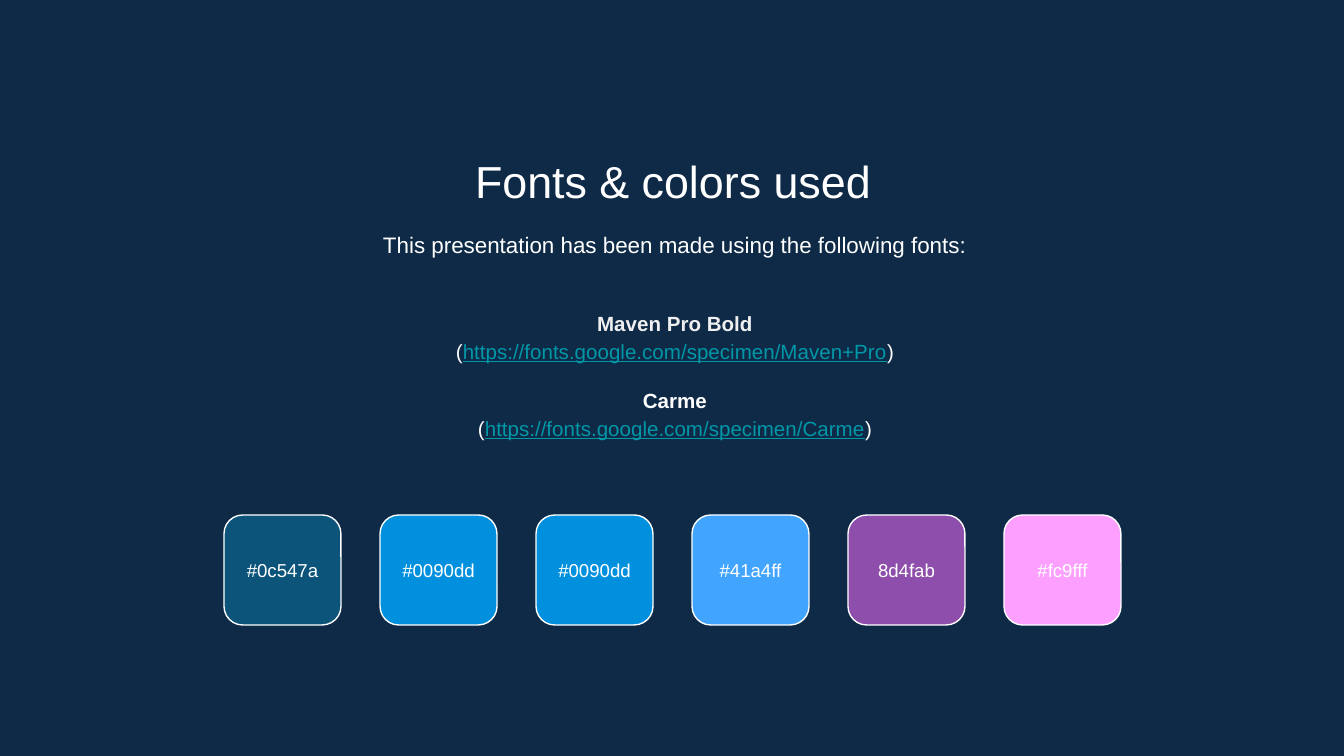
import pptx
import pptx.dml.color
import pptx.enum.shapes
import pptx.enum.text
import pptx.oxml.ns
import pptx.util
import lxml.etree

RGBColor = pptx.dml.color.RGBColor
ANCHOR = pptx.enum.text.MSO_ANCHOR

NAVY = RGBColor(0x0E, 0x2A, 0x47)
WHITE = RGBColor(0xFF, 0xFF, 0xFF)
PALE = RGBColor(0xEF, 0xEF, 0xEF)
LINK = RGBColor(0x00, 0x97, 0xA7)
TEAL = RGBColor(0x0C, 0x54, 0x7A)
BLUE = RGBColor(0x00, 0x90, 0xDD)
SKY = RGBColor(0x41, 0xA4, 0xFF)
PURPLE = RGBColor(0x8D, 0x4F, 0xAB)
PINK = RGBColor(0xFC, 0x9F, 0xFF)

SLIDE_WIDTH, SLIDE_HEIGHT = 1344, 756
SCALE = 9144000 / SLIDE_WIDTH

FONTS = [
    ("Maven Pro Bold", PALE, "https://fonts.google.com/specimen/Maven+Pro"),
    ("Carme", WHITE, "https://fonts.google.com/specimen/Carme"),
]
SWATCHES = [
    ("#0c547a", TEAL),
    ("#0090dd", BLUE),
    ("#0090dd", BLUE),
    ("#41a4ff", SKY),
    ("8d4fab", PURPLE),
    ("#fc9fff", PINK),
]


def emu(px):
    """Turn px into EMU."""
    return pptx.util.Emu(round(px * SCALE))


def place(shape, box):
    """Move a shape to a box given as left, top, width, height."""
    shape.left, shape.top, shape.width, shape.height = map(emu, box)


def prepare_frame(shape, anchor):
    """Set wrapping, insets and anchor of a shape's text frame."""
    frame = shape.text_frame
    frame.word_wrap = True
    frame.auto_size = pptx.enum.text.MSO_AUTO_SIZE.NONE
    frame.vertical_anchor = anchor
    frame.margin_left = frame.margin_right = pptx.util.Inches(0.1)
    frame.margin_top = frame.margin_bottom = pptx.util.Inches(0.1)
    return frame


def add_para(frame, line_spacing=1.0, space_before=0):
    """Return a centred, unbulleted paragraph, reusing an empty first one."""
    para = frame.paragraphs[0]
    if para.runs:
        para = frame.add_paragraph()
    para.alignment = pptx.enum.text.PP_ALIGN.CENTER
    para.line_spacing = line_spacing
    para.space_before = pptx.util.Pt(space_before)
    para.space_after = pptx.util.Pt(0)
    properties = para._p.get_or_add_pPr()
    properties.set("marL", "0")
    properties.set("indent", "0")
    lxml.etree.SubElement(properties, pptx.oxml.ns.qn("a:buNone"))
    return para


def add_span(para, text, size, color=WHITE, bold=False, underline=False):
    """Add one formatted run to a paragraph."""
    span = para.add_run()
    span.text = text
    span.font.name = "Arial"
    span.font.size = pptx.util.Pt(size)
    span.font.color.rgb = color
    span.font.bold = bold
    span.font.underline = underline


def fill_line(placeholder, box, text, size, line_spacing):
    """Place a placeholder and give it a single line of text."""
    place(placeholder, box)
    frame = prepare_frame(placeholder, ANCHOR.TOP)
    add_span(add_para(frame, line_spacing), text, size)


def fill_fonts(placeholder, box):
    """List each font name above its address."""
    place(placeholder, box)
    frame = prepare_frame(placeholder, ANCHOR.MIDDLE)
    for index, (name, color, address) in enumerate(FONTS):
        heading = add_para(frame, 1.15, 11 if index else 0)
        add_span(heading, name, 11, color, bold=True)
        para = add_para(frame, 1.15)
        add_span(para, "(", 11)
        add_span(para, address, 11, LINK, underline=True)
        add_span(para, ")", 11)


def add_swatches(page, box):
    """Spread labelled colour swatches evenly across a box."""
    left, top, width, height = box
    swatch_width = 117
    pitch = (width - swatch_width) / (len(SWATCHES) - 1)
    for index, (label, color) in enumerate(SWATCHES):
        swatch = page.shapes.add_shape(
            pptx.enum.shapes.MSO_SHAPE.ROUNDED_RECTANGLE, 0, 0, 0, 0)
        place(swatch, (left + index * pitch, top, swatch_width, height))
        swatch.shadow.inherit = False
        swatch.adjustments[0] = 0.17
        swatch.fill.solid()
        swatch.fill.fore_color.rgb = color
        swatch.line.color.rgb = WHITE
        swatch.line.width = pptx.util.Pt(0.75)
        frame = prepare_frame(swatch, ANCHOR.MIDDLE)
        add_span(add_para(frame), label, 10)


def main():
    """Build the fonts and colours slide."""
    deck = pptx.Presentation()
    deck.slide_width, deck.slide_height = emu(SLIDE_WIDTH), emu(SLIDE_HEIGHT)
    page = deck.slides.add_slide(deck.slide_layouts.get_by_name("Two Content"))
    page.background.fill.solid()
    page.background.fill.fore_color.rgb = NAVY

    title, intro, fonts = list(page.placeholders)[:3]
    fill_line(title, (155, 140, 1036, 71), "Fonts & colors used", 24, 1.0)
    fill_line(intro, (157, 214, 1036, 65),
              "This presentation has been made using the following fonts:",
              12, 1.15)
    fill_fonts(fonts, (157, 282, 1036, 184))
    add_swatches(page, (224, 515, 897, 110))
    deck.save("out.pptx")


if __name__ == "__main__":
    main()
